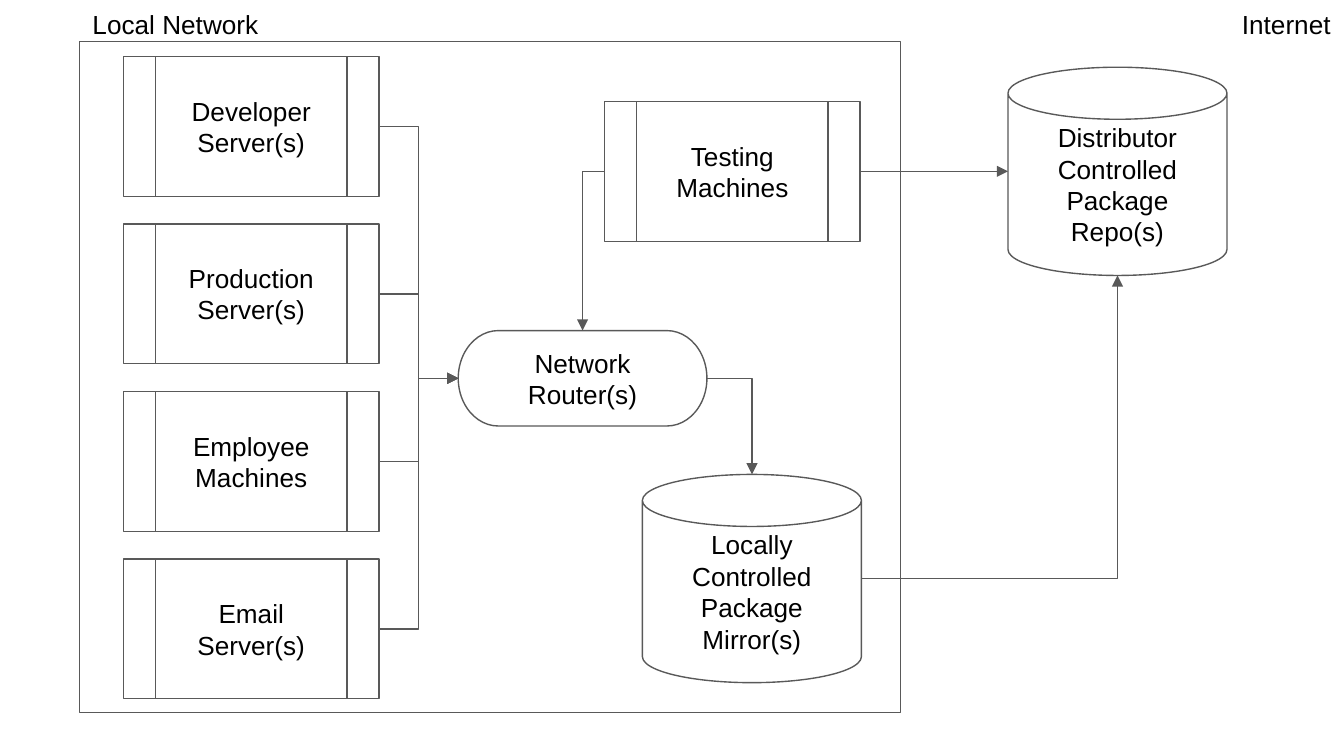
from lxml import etree
from pptx import Presentation
from pptx import util as u
from pptx.dml import color
from pptx.enum import shapes, text
from pptx.oxml import ns

INK = "000000"
OUTLINE = "595959"
SERVER_LABELS = [
    "Developer Server(s)",
    "Production Server(s)",
    "Employee Machines",
    "Email Server(s)",
]
SERVER_TOP = 0.42
SERVER_PITCH = 3.74 / 3
PROCESS = shapes.MSO_SHAPE.FLOWCHART_PREDEFINED_PROCESS
PROCESS_SIZE = (1.9, 1.04)
CAN_SIZE = (1.63, 1.55)
REPO_TOP = 0.5


def rgb(value):
    return color.RGBColor.from_string(value)


def apply_format(target, values):
    for name, value in values.items():
        setattr(target, name, value)


def style_outline(line):
    line.color.rgb = rgb(OUTLINE)
    line.width = u.Pt(0.75)


def write_text(shape, label, alignment):
    frame = shape.text_frame
    margins = ("margin_left", "margin_top", "margin_right", "margin_bottom")
    apply_format(frame, dict.fromkeys(margins, u.Inches(0.1)))
    apply_format(frame, {
        "word_wrap": True,
        "vertical_anchor": text.MSO_ANCHOR.MIDDLE,
    })
    paragraph = frame.paragraphs[0]
    paragraph.alignment = alignment
    run = paragraph.add_run()
    run.text = label
    apply_format(run.font, {"name": "Arial", "size": u.Pt(14)})
    run.font.color.rgb = rgb(INK)


def add_box(slide, kind, position, size, label=None):
    lengths = [u.Inches(value) for value in (*position, *size)]
    shape = slide.shapes.add_shape(kind, *lengths)
    shape.shadow.inherit = False
    shape.fill.background()
    style_outline(shape.line)
    if label:
        write_text(shape, label, text.PP_ALIGN.CENTER)
    return shape


def add_caption(slide, left, label, alignment):
    lengths = [u.Inches(value) for value in (left, 0, 3.24, 0.36)]
    write_text(slide.shapes.add_textbox(*lengths), label, alignment)


def side(shape, name):
    across, down = {
        "top": (0.5, 0),
        "left": (0, 0.5),
        "bottom": (0.5, 1),
        "right": (1, 0.5),
    }[name]
    return (
        shape.left + int(shape.width * across),
        shape.top + int(shape.height * down),
    )


def add_arrow(slide, start, end, single_bend=False):
    connector = slide.shapes.add_connector(
        shapes.MSO_CONNECTOR.ELBOW, *start, *end
    )
    style_outline(connector.line)
    properties = connector._element.spPr
    if single_bend:
        geometry = properties.find(ns.qn("a:prstGeom"))
        geometry.set("prst", "bentConnector2")
    line = properties.find(ns.qn("a:ln"))
    etree.SubElement(line, ns.qn("a:tailEnd"), type="triangle")
    etree.SubElement(properties, ns.qn("a:effectLst"))


def main():
    presentation = Presentation()
    width = u.Inches(10)
    apply_format(presentation, {
        "slide_width": width,
        "slide_height": width * 9 // 16,
    })
    slide = presentation.slides.add_slide(presentation.slide_layouts[6])

    add_box(slide, shapes.MSO_SHAPE.RECTANGLE, (0.59, 0.31), (6.11, 4.99))
    can = shapes.MSO_SHAPE.CAN
    repo = add_box(slide, can, (7.5, REPO_TOP), CAN_SIZE,
                   "Distributor Controlled Package Repo(s)")
    mirror = add_box(slide, can, (4.78, 3.53), CAN_SIZE,
                     "Locally Controlled Package Mirror(s)")
    servers = [
        add_box(slide, PROCESS, (0.92, SERVER_TOP + SERVER_PITCH * row),
                PROCESS_SIZE, label)
        for row, label in enumerate(SERVER_LABELS)
    ]
    router = add_box(slide, shapes.MSO_SHAPE.FLOWCHART_TERMINATOR,
                     (3.41, 2.46), (1.85, 0.71), "Network Router(s)")
    testing_top = REPO_TOP + (CAN_SIZE[1] - PROCESS_SIZE[1]) / 2
    testing = add_box(slide, PROCESS, (4.5, testing_top), PROCESS_SIZE,
                      "Testing Machines")

    for server in servers:
        add_arrow(slide, side(server, "right"), side(router, "left"))
    add_arrow(slide, side(testing, "right"), side(repo, "left"))
    for source, source_side, target, target_side in (
        (router, "right", mirror, "top"),
        (mirror, "right", repo, "bottom"),
        (testing, "left", router, "top"),
    ):
        add_arrow(slide, side(source, source_side),
                  side(target, target_side), single_bend=True)

    add_caption(slide, 0.59, "Local Network", text.PP_ALIGN.LEFT)
    add_caption(slide, 6.76, "Internet", text.PP_ALIGN.RIGHT)
    presentation.save("out.pptx")


if __name__ == "__main__":
    main()
